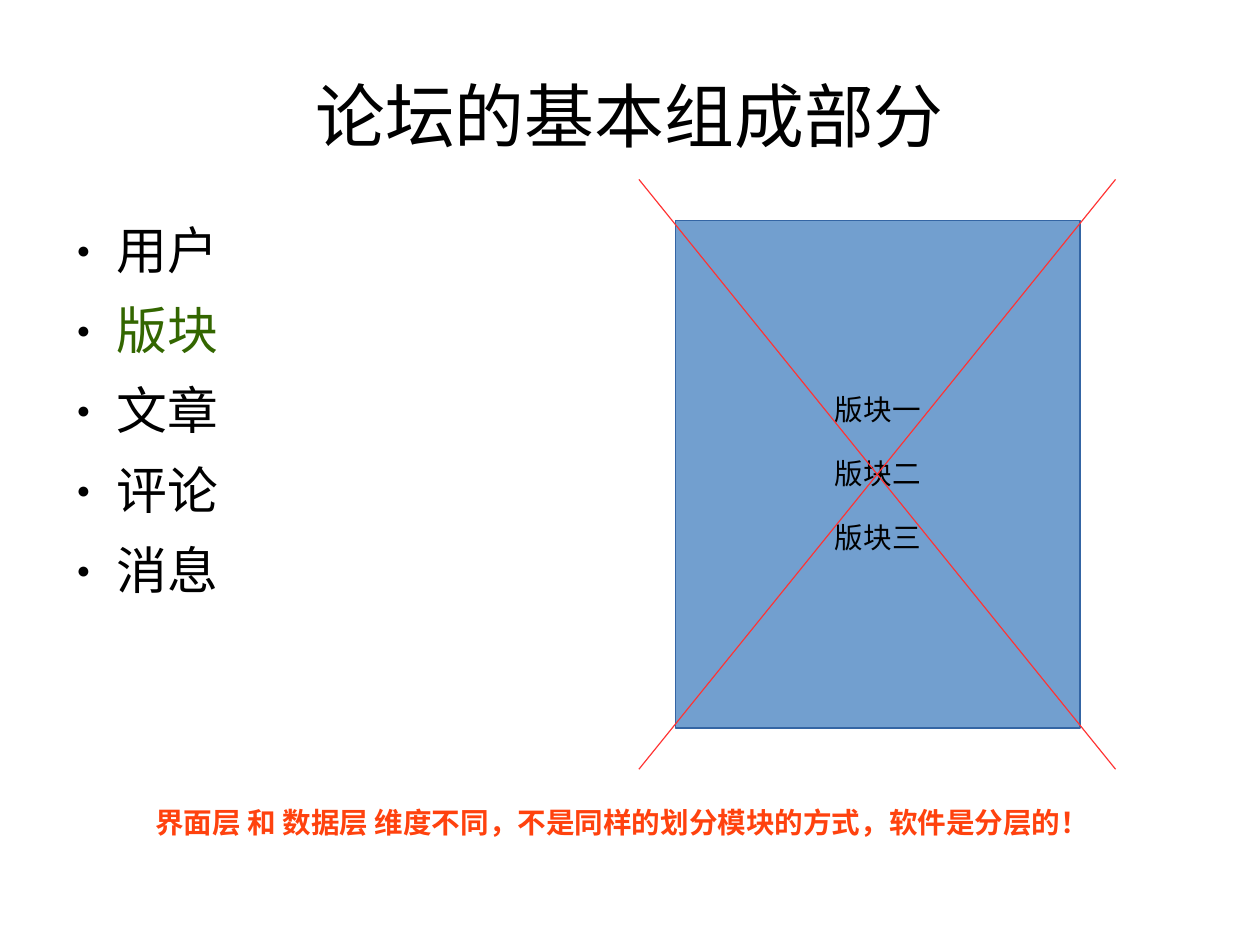
import pptx
import pptx.dml.color
import pptx.enum.shapes
import pptx.enum.text
import pptx.oxml.ns
import pptx.util
from lxml import etree

Inches = pptx.util.Inches
Pt = pptx.util.Pt
ALIGN = pptx.enum.text.PP_ALIGN
ANCHOR = pptx.enum.text.MSO_ANCHOR

CM_PER_INCH = 2.54
FONT = "Arial"
LINE_SPACING = 0.94
COLORS = {
    "text": "000000",
    "highlight": "336600",
    "panel": "729FCF",
    "panel_edge": "3465A4",
    "cross": "FF3333",
    "note": "FF420E",
}


def color(name):
    return pptx.dml.color.RGBColor.from_string(COLORS[name])


def set_frame(shape, insets, anchor=ANCHOR.TOP, wrap=True):
    frame = shape.text_frame
    frame.word_wrap = wrap
    frame.vertical_anchor = anchor
    frame.margin_left, frame.margin_top, frame.margin_right, frame.margin_bottom = map(Inches, insets)
    return frame


def write(frame, index, text, size, fill="text", bold=False, align=ALIGN.LEFT, before=0, after=0):
    """Write one formatted paragraph and return it."""
    paragraph = frame.paragraphs[0] if index == 0 else frame.add_paragraph()
    paragraph.alignment = align
    paragraph.line_spacing = LINE_SPACING
    paragraph.space_before = Pt(before)
    paragraph.space_after = Pt(after)
    run = paragraph.add_run()
    run.text = text
    run.font.name = FONT
    run.font.size = Pt(size)
    run.font.bold = bold
    run.font.color.rgb = color(fill)
    return paragraph


def add_bullet(paragraph):
    properties = paragraph._p.get_or_add_pPr()
    properties.set("marL", str(Inches(0.47)))
    properties.set("indent", str(Inches(-0.35)))
    qn = pptx.oxml.ns.qn
    bullet_color = etree.SubElement(properties, qn("a:buClr"))
    etree.SubElement(bullet_color, qn("a:srgbClr"), val=COLORS["text"])
    etree.SubElement(properties, qn("a:buSzPct"), val="45000")
    etree.SubElement(properties, qn("a:buFont"), typeface=FONT)
    etree.SubElement(properties, qn("a:buChar"), char="●")


def add_title(slide, box, text):
    shape = slide.shapes.add_textbox(*map(Inches, box))
    frame = set_frame(shape, (0, 0.04, 0, 0), ANCHOR.MIDDLE)
    write(frame, 0, text, 44, align=ALIGN.CENTER)


def add_parts_list(slide, box, parts, highlighted):
    shape = slide.shapes.add_textbox(*map(Inches, box))
    frame = set_frame(shape, (0, 0.03, 0, 0))
    for index, part in enumerate(parts):
        fill = "highlight" if part == highlighted else "text"
        add_bullet(write(frame, index, part, 32, fill=fill, after=14.3))


def add_crossed_panel(slide, box, labels):
    left, top, width, height = box
    panel = slide.shapes.add_shape(pptx.enum.shapes.MSO_SHAPE.RECTANGLE, *map(Inches, box))
    panel.shadow.inherit = False
    panel.fill.solid()
    panel.fill.fore_color.rgb = color("panel")
    panel.line.color.rgb = color("panel_edge")
    panel.line.width = Pt(0.75)
    frame = set_frame(panel, (0.1, 0.06, 0.1, 0.05), ANCHOR.MIDDLE, wrap=False)
    for index, label in enumerate(labels):
        write(frame, index, label, 18, align=ALIGN.CENTER, before=20 if index else 0)

    # Diagonals reach past the panel on every side
    reach_x, reach_y = 0.32, 0.36
    start_x, end_x = left - reach_x, left + width + reach_x - 0.01
    upper, lower = top - reach_y, top + height + reach_y
    for start_y, end_y in ((upper, lower), (lower, upper)):
        diagonal = slide.shapes.add_connector(
            pptx.enum.shapes.MSO_CONNECTOR.STRAIGHT,
            *map(Inches, (start_x, start_y, end_x, end_y)))
        diagonal.line.color.rgb = color("cross")
        diagonal.line.width = Pt(0.75)
        etree.SubElement(diagonal._element.spPr, pptx.oxml.ns.qn("a:effectLst"))


def add_note(slide, box, text):
    shape = slide.shapes.add_textbox(*map(Inches, box))
    frame = set_frame(shape, (0.1, 0.06, 0.1, 0.05), wrap=False)
    write(frame, 0, text, 18, fill="note", bold=True)


def main():
    # Slide of 28 by 21 cm
    presentation = pptx.Presentation()
    presentation.slide_width = Inches(28 / CM_PER_INCH)
    presentation.slide_height = Inches(21 / CM_PER_INCH)
    slide = presentation.slides.add_slide(presentation.slide_layouts[6])

    add_title(slide, (0.55, 0.33, 9.92, 1.38), "论坛的基本组成部分")
    add_parts_list(slide, (0.55, 1.93, 9.92, 4.8),
                   ["用户", "版块", "文章", "评论", "消息"], "版块")
    add_crossed_panel(slide, (5.91, 1.93, 3.54, 4.44), ["版块一", "版块二", "版块三"])
    add_note(slide, (1.26, 7.01, 8.42, 0.43),
             "界面层 和 数据层 维度不同，不是同样的划分模块的方式，软件是分层的！")

    presentation.save("out.pptx")


if __name__ == "__main__":
    main()
